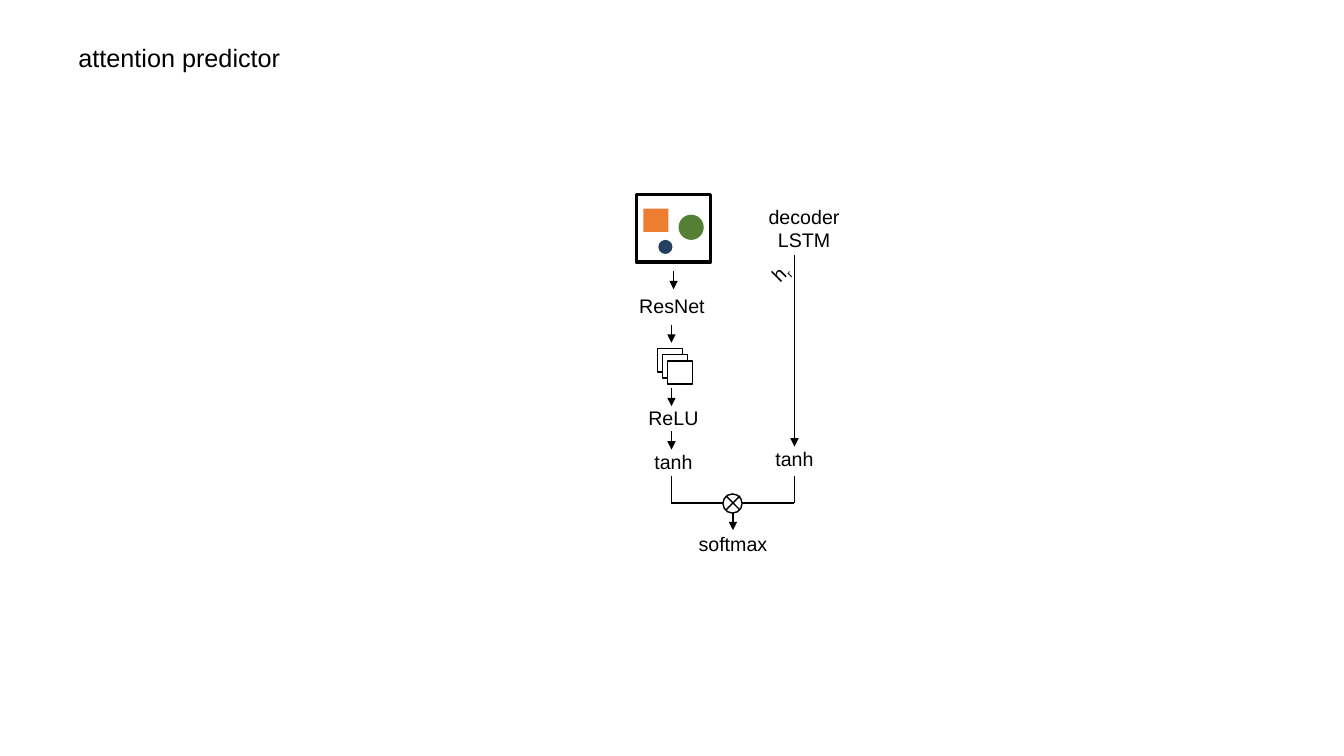
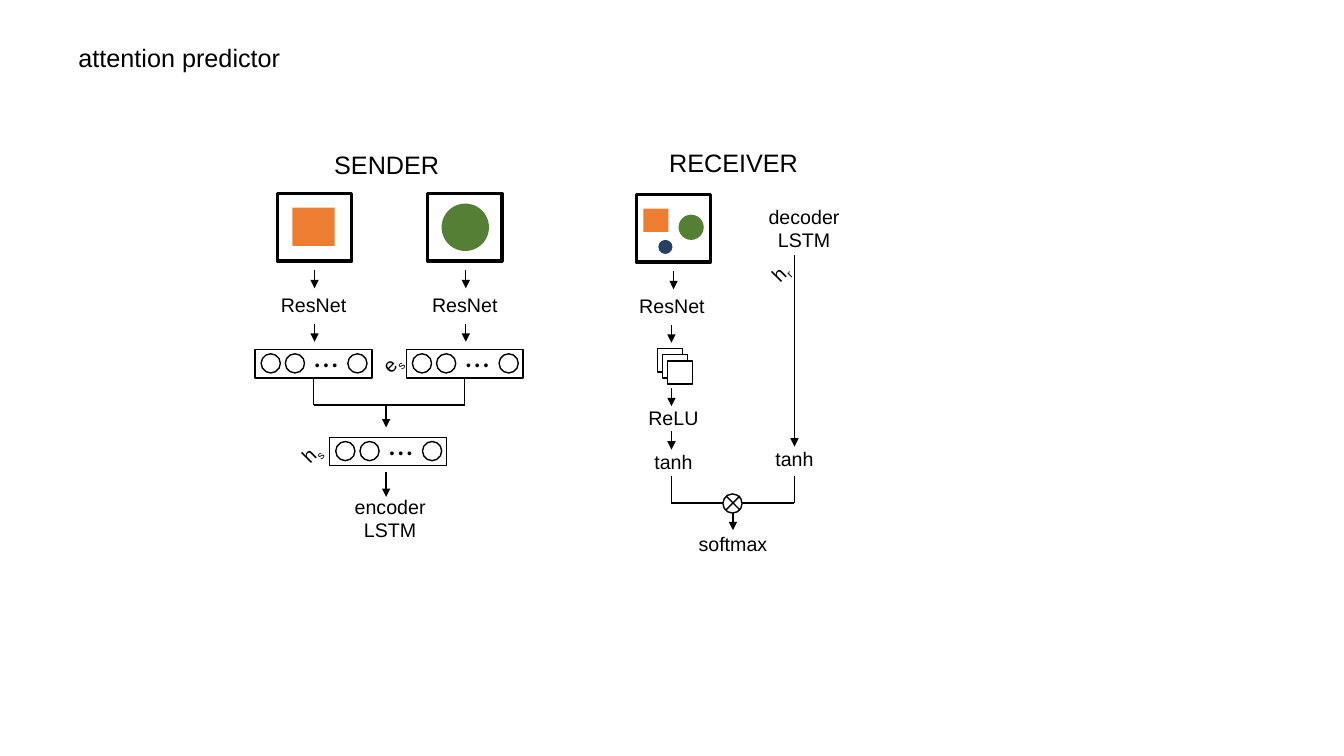
from lxml import etree
from pptx import Presentation
from pptx import util as u
from pptx.dml.color import RGBColor
from pptx.enum import shapes, text
from pptx.oxml.ns import qn

PX = 9144  # 100 px to the inch
FONT = "Arial"
COLORS = {
    "ink": "000000",
    "paper": "FFFFFF",
    "square": "ED7D31",
    "disc": "547F34",
    "dot": "244161",
}
RECT = shapes.MSO_SHAPE.RECTANGLE
OVAL = shapes.MSO_SHAPE.OVAL
BAR_W, BAR_H = 116, 28
ARROW = 18


def px(*lengths):
    return [u.Emu(length * PX) for length in lengths]


def color(name):
    return RGBColor.from_string(COLORS[name])


def add_figure(slide, kind, box, fill=None, line=None):
    """Preset shape; fill is a colour name, line a width in points."""
    figure = slide.shapes.add_shape(kind, *px(*box))
    figure.shadow.inherit = False
    if fill:
        figure.fill.solid()
        figure.fill.fore_color.rgb = color(fill)
    else:
        figure.fill.background()
    if line:
        figure.line.color.rgb = color("ink")
        figure.line.width = u.Pt(line)
    else:
        figure.line.fill.background()
    return figure


def add_label(slide, words, box, size=14, align=text.PP_ALIGN.CENTER, subscript=None):
    label = slide.shapes.add_textbox(*px(*box))
    frame = label.text_frame
    frame.word_wrap = True
    frame.auto_size = text.MSO_AUTO_SIZE.SHAPE_TO_FIT_TEXT
    paragraph = frame.paragraphs[0]
    paragraph.alignment = align
    paragraph.font.name = FONT
    paragraph.font.size = u.Pt(size)
    paragraph.font.color.rgb = color("ink")
    paragraph.add_run().text = words
    if subscript:
        low = paragraph.add_run()
        low.text = subscript
        low.font._element.set("baseline", "-25000")
    return label


def add_state(slide, letter, subscript, left, top):
    """Tilted vector name with a subscript."""
    state = add_label(slide, letter, (left, top, 56, 33),
                      align=text.PP_ALIGN.LEFT, subscript=subscript)
    state.rotation = 315


def add_line(slide, x1, y1, x2, y2, arrow=False):
    line = slide.shapes.add_connector(shapes.MSO_CONNECTOR.STRAIGHT, *px(x1, y1, x2, y2))
    line.line.color.rgb = color("ink")
    line.line.width = u.Pt(1)
    if arrow:
        etree.SubElement(line.line._get_or_add_ln(), qn("a:tailEnd"), type="triangle")
    etree.SubElement(line._element.spPr, qn("a:effectLst"))
    return line


def add_arrow(slide, x, top, length=ARROW):
    add_line(slide, x, top, x, top + length, arrow=True)


def add_scene(slide, left, top, *items):
    """Framed scene; each item is kind, box within the frame, colour."""
    add_figure(slide, RECT, (left, top, 74, 67), line=2.25)
    for kind, (dx, dy, width, height), fill in items:
        add_figure(slide, kind, (left + dx, top + dy, width, height), fill)


def add_vector(slide, left, top):
    """Bar of units with an ellipsis before the last one."""
    bar = add_figure(slide, RECT, (left, top, BAR_W, BAR_H), line=1)
    dots = add_label(slide, "• • •", (left + 30, top + 3, 81, 22), size=10)
    frame = dots.text_frame
    frame.auto_size = text.MSO_AUTO_SIZE.NONE
    frame.vertical_anchor = text.MSO_ANCHOR.MIDDLE
    frame.margin_top = frame.margin_bottom = 0
    frame.paragraphs[0].line_spacing = u.Pt(14.1)
    for dx in (6, 30, 92):
        add_figure(slide, OVAL, (left + dx, top + 4, 19, 19), line=1)
    return bar


def add_title(slide):
    add_label(slide, "attention predictor", (68, 37, 240, 27), size=18,
              align=text.PP_ALIGN.LEFT)


def add_receiver(slide):
    image_x, state_x, merge_x, merge_y = 666, 788, 727, 499

    add_scene(slide, 631, 193,
              (RECT, (7, 14, 25, 23), "square"),
              (OVAL, (42, 20, 25, 25), "disc"),
              (OVAL, (22, 45, 14, 14), "dot"))
    add_arrow(slide, 668, 269)
    add_label(slide, "ResNet", (610, 287, 113, 33))
    for top in (322, 385, 428):
        add_arrow(slide, image_x, top)
    for step in range(3):
        add_figure(slide, RECT, (652 + 5 * step, 346 + 6 * step, 25, 23), "paper", 1)
    add_label(slide, "ReLU", (611, 398, 114, 33))
    add_label(slide, "tanh", (611, 441, 114, 33))

    add_label(slide, "decoder LSTM", (737, 198, 121, 57))
    add_state(slide, "h", "r", 753, 246)
    add_arrow(slide, state_x, 253, 190)
    add_label(slide, "tanh", (731, 438, 114, 33))

    for x in (image_x, state_x):
        add_line(slide, x, 472, x, merge_y)
    add_line(slide, state_x, merge_y, image_x, merge_y)
    add_arrow(slide, merge_x, 504, 22)
    add_figure(slide, OVAL, (717, 490, 19, 19), "paper", 1)
    for start, end in ((720, 734), (734, 720)):
        add_line(slide, start, 492, end, 506)
    add_label(slide, "softmax", (667, 523, 120, 33))


def add_sender(slide):
    join_x, join_y = 383, 402
    targets = (
        (253, 275, (RECT, (15, 14, 42, 38), "square")),
        (403, 424, (OVAL, (14, 10, 47, 47), "disc")),
    )
    centers = [left + BAR_W // 2 for left, _, _ in targets]
    for (bar_left, scene_left, item), center in zip(targets, centers):
        add_scene(slide, scene_left, 192, item)
        add_arrow(slide, center + 1, 268)
        add_label(slide, "ResNet", (center - 57, 286, 114, 33))
        add_arrow(slide, center + 1, 321)
        bar = add_vector(slide, bar_left, 347)
        stem = add_line(slide, center, 375, center, join_y)
        stem.begin_connect(bar, 2)
    add_state(slide, "e", "s", 367, 337)

    add_line(slide, centers[1], join_y, centers[0], join_y)
    add_arrow(slide, join_x, join_y, 22)
    add_vector(slide, 327, 434)
    add_state(slide, "h", "s", 287, 426)
    add_arrow(slide, join_x, 468, 25)
    add_label(slide, "encoder LSTM", (327, 486, 120, 57))


def main():
    deck = Presentation()
    deck.slide_width, deck.slide_height = px(1333, 750)
    blank = deck.slide_layouts[6]
    predictor, game = [deck.slides.add_slide(blank) for _ in range(2)]
    for slide in (predictor, game):
        add_title(slide)
        add_receiver(slide)

    add_label(game, "RECEIVER", (592, 141, 271, 40), size=18)
    add_label(game, "SENDER", (258, 143, 251, 40), size=18)
    add_sender(game)
    deck.save("out.pptx")


if __name__ == "__main__":
    main()
